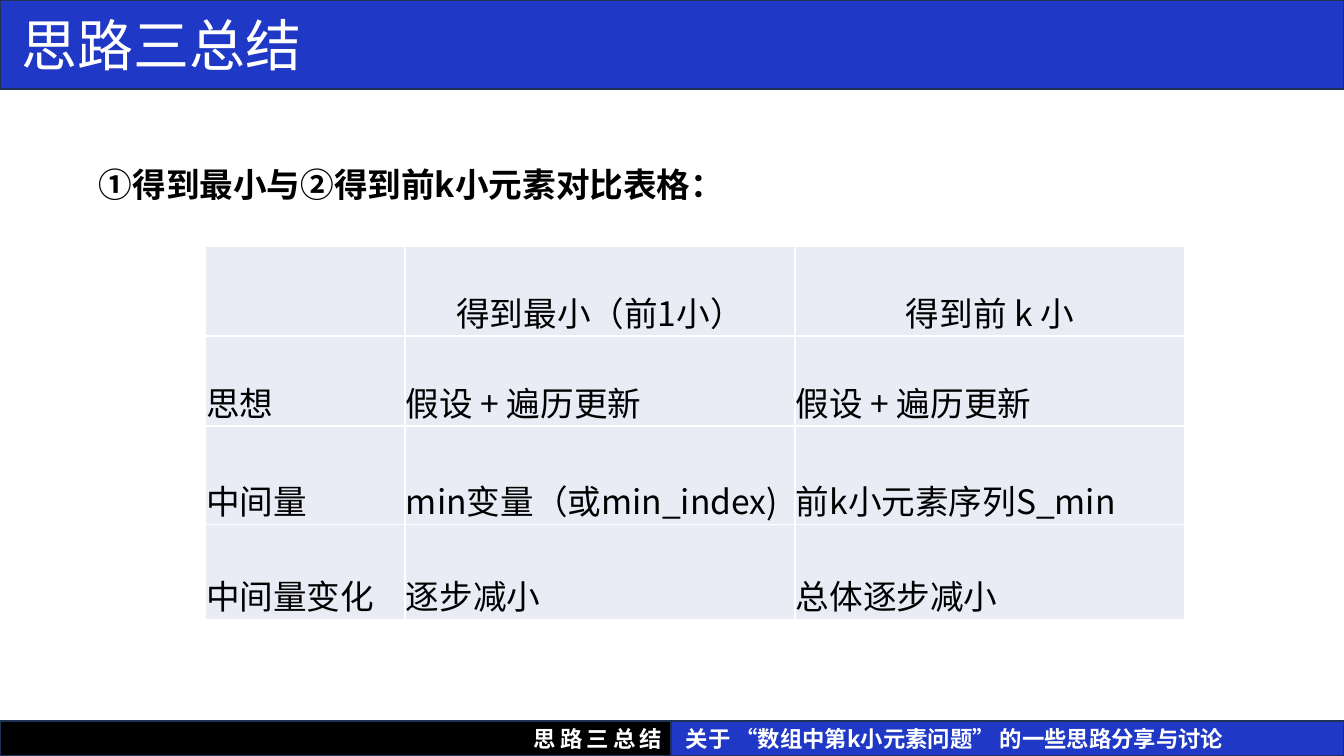
from lxml.etree import SubElement
from pptx import Presentation
from pptx.dml.color import RGBColor
from pptx.enum.shapes import MSO_SHAPE
from pptx.enum.text import MSO_ANCHOR, MSO_AUTO_SIZE, PP_ALIGN
from pptx.oxml.ns import qn
from pptx.util import Emu, Pt

FONT = "Noto Sans CJK SC"
BLUE, BLACK, WHITE, OUTLINE, CELL = "1F38C5", "000000", "FFFFFF", "1E3256", "E9EBF5"
PX = 914400 / 100.8


def paint(target, color):
    """Give a fill, line or font its solid colour."""
    if hasattr(target, "solid"):
        target.solid()
        target.fore_color.rgb = RGBColor.from_string(color)
    else:
        getattr(target, "color", target).rgb = RGBColor.from_string(color)


def write(frame, text, size, color, bold=False, align=PP_ALIGN.LEFT, spacing=1.0):
    """Put one formatted line of text in a frame and return its run."""
    paragraph = frame.paragraphs[0]
    paragraph.alignment, paragraph.line_spacing = align, spacing
    run = paragraph.add_run()
    run.text = text
    for key, value in {"size": Pt(size), "bold": bold, "name": FONT}.items():
        setattr(run.font, key, value)
    paint(run.font, color)
    SubElement(run.font._element, qn("a:ea"), typeface=FONT)
    return run


deck = Presentation()
deck.slide_width, deck.slide_height = Emu(round(1344 * PX)), Emu(round(756 * PX))
slide = deck.slides.add_slide(deck.slide_layouts[5])

# Title bar and the two footer bars
heading = slide.shapes.title
section, topic = [slide.shapes.add_shape(MSO_SHAPE.RECTANGLE, 0, 0, 0, 0) for _ in range(2)]
bars = [
    # shape, box, fill, text, size, bold, alignment, left inset, letter spacing
    (heading, (0, 0, 1344, 89), BLUE, "思路三总结", 40, False, PP_ALIGN.LEFT, 22, 0),
    (section, (0, 721, 672, 35), BLACK, "思路三总结", 16, True, PP_ALIGN.RIGHT, 10, 300),
    (topic, (671, 721, 673, 35), BLUE, "关于 “数组中第k小元素问题” 的一些思路分享与讨论",
     16, True, PP_ALIGN.LEFT, 15, 0),
]
for bar, box, fill, text, size, bold, align, inset, tracking in bars:
    for side, length in zip(("left", "top", "width", "height"), box):
        setattr(bar, side, Emu(round(length * PX)))
    paint(bar.fill, fill)
    paint(bar.line, OUTLINE)
    bar.line.width = Pt(1)
    bar.shadow.inherit = False
    frame_format = {"vertical_anchor": MSO_ANCHOR.MIDDLE, "word_wrap": True,
                    "auto_size": MSO_AUTO_SIZE.NONE, "margin_left": Emu(round(inset * PX))}
    for key, value in frame_format.items():
        setattr(bar.text_frame, key, value)
    run = write(bar.text_frame, text, size, WHITE, bold, align)
    if tracking:
        run.font._element.set("spc", str(tracking))

# Comparison table
comparison = [
    ["", "得到最小（前1小）", "得到前 k 小"],
    ["思想", "假设 + 遍历更新", "假设 + 遍历更新"],
    ["中间量", "min变量（或min_index)", "前k小元素序列S_min"],
    ["中间量变化", "逐步减小", "总体逐步减小"],
]
col_widths, row_heights = [200, 390, 390], [90, 90, 95, 95]
table = slide.shapes.add_table(
    len(row_heights), len(col_widths), Emu(round(205 * PX)), Emu(round(246 * PX)),
    Emu(round(sum(col_widths) * PX)), Emu(round(sum(row_heights) * PX))).table
for column, width in zip(table.columns, col_widths):
    column.width = Emu(round(width * PX))
for row, height in zip(table.rows, row_heights):
    row.height = Emu(round(height * PX))

cell_format = {"vertical_anchor": MSO_ANCHOR.BOTTOM, "margin_left": Emu(round(PX)),
               "margin_right": Emu(round(PX)), "margin_top": Emu(round(PX)), "margin_bottom": 0}
for r, labels in enumerate(comparison):
    for c, label in enumerate(labels):
        cell = table.cell(r, c)
        for key, value in cell_format.items():
            setattr(cell, key, value)
        if label:
            write(cell.text_frame, label, 24, BLACK,
                  align=PP_ALIGN.LEFT if r else PP_ALIGN.CENTER)
        # Borders come before the fill in the cell properties
        properties = cell._tc.get_or_add_tcPr()
        for edge in ("a:lnL", "a:lnR", "a:lnT", "a:lnB"):
            border = SubElement(properties, qn(edge), w=str(Pt(1)))
            SubElement(SubElement(border, qn("a:solidFill")), qn("a:srgbClr"), val=WHITE)
        paint(cell.fill, CELL)

# Table caption
caption = slide.shapes.add_textbox(*[Emu(round(n * PX)) for n in (89, 166, 627, 50)]).text_frame
caption.word_wrap = True
write(caption, "①得到最小与②得到前k小元素对比表格：", 24, BLACK, bold=True, spacing=0.83)

deck.save("out.pptx")
